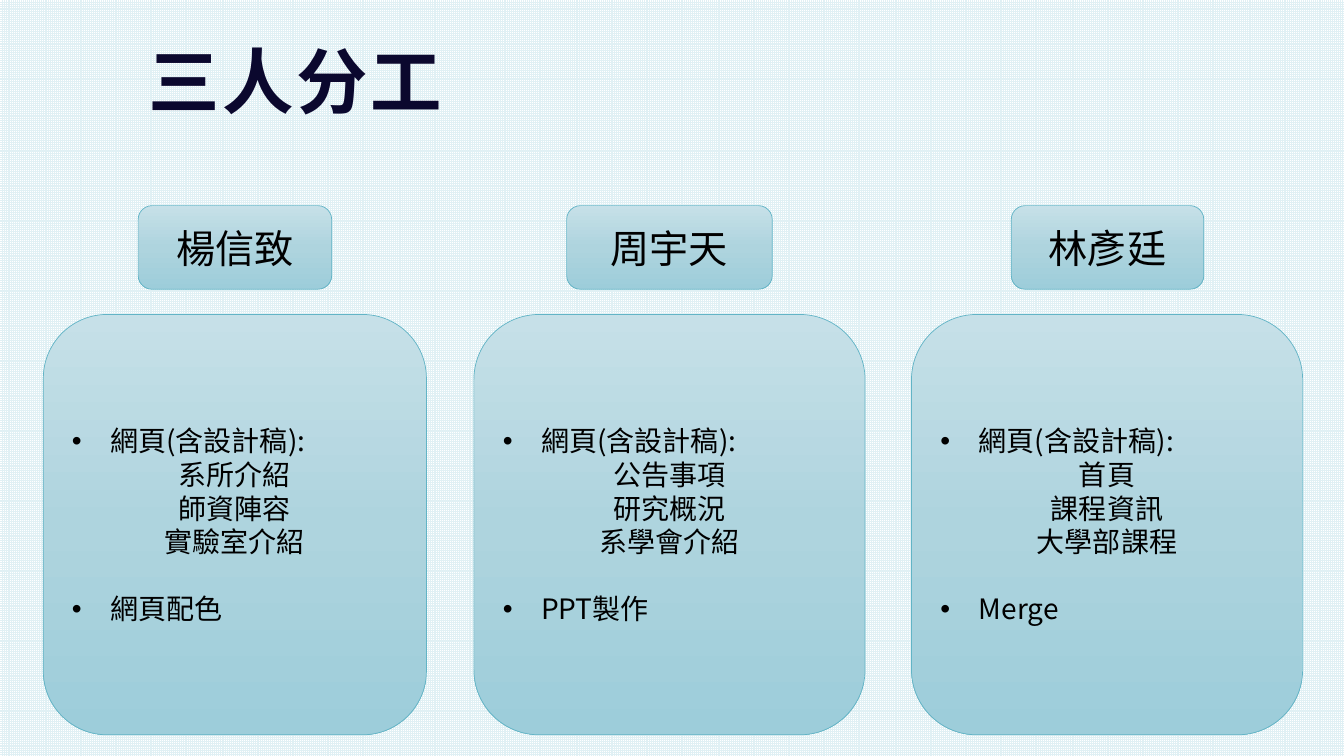
"""Build the slide that shows how three people share the work."""
import copy

import lxml.etree
import pptx
import pptx.dml.color
import pptx.enum.dml
import pptx.enum.shapes
import pptx.enum.text
import pptx.oxml.ns
import pptx.util

Inches = pptx.util.Inches
Pt = pptx.util.Pt
qn = pptx.oxml.ns.qn
ALIGN = pptx.enum.text.PP_ALIGN
ANCHOR = pptx.enum.text.MSO_ANCHOR

MEMBERS = [
    ("楊信致", (1.37, 1.92), (0.43, 3.8),
     ["系所介紹", "師資陣容", "實驗室介紹"], "網頁配色"),
    ("周宇天", (5.62, 2.04), (4.7, 3.88),
     ["公告事項", "研究概況", "系學會介紹"], "PPT製作"),
    ("林彥廷", (10.03, 1.91), (9.04, 3.88),
     ["首頁", "課程資訊", "大學部課程"], "Merge"),
]


class Deck:
    FONT = "Noto Sans CJK SC"
    COLORS = {"title": "0B082E", "text": "000000", "line": "62B4C6",
              "grid": "E0F0F4", "paper": "FFFFFF",
              "top": "C6E0E8", "middle": "AED4DE", "bottom": "9DCDDA"}
    GRADIENT = [(0, "top"), (0.5, "middle"), (1, "bottom")]

    def __init__(self):
        self.prs = pptx.Presentation()
        self.prs.slide_width = Inches(13.33)
        self.prs.slide_height = Inches(7.5)
        self.slide = self.prs.slides.add_slide(self.prs.slide_layouts[6])

    def color(self, name):
        return pptx.dml.color.RGBColor.from_string(self.COLORS[name])

    def background(self):
        fill = self.slide.background.fill
        fill.patterned()
        fill.pattern = pptx.enum.dml.MSO_PATTERN.SMALL_GRID
        fill.fore_color.rgb = self.color("grid")
        fill.back_color.rgb = self.color("paper")

    def add_text(self, p, text, size=20, color="text", bold=False, spacing=0,
                 align=ALIGN.LEFT, bullet=False, before=0):
        p.alignment = align
        if before:
            p.space_before = Pt(before)
        if bullet:
            pPr = p._p.get_or_add_pPr()
            pPr.set("marL", str(Inches(0.38)))
            pPr.set("indent", str(-Inches(0.38)))
            lxml.etree.SubElement(pPr, qn("a:buFont")).set("typeface", "Arial")
            lxml.etree.SubElement(pPr, qn("a:buChar")).set("char", "•")
        r = p.add_run()
        r.text = text
        r.font.size = Pt(size)
        r.font.bold = bold
        r.font.color.rgb = self.color(color)
        r.font.name = self.FONT
        rPr = r._r.get_or_add_rPr()
        if spacing:
            rPr.set("spc", str(spacing * 100))
        lxml.etree.SubElement(rPr, qn("a:ea")).set("typeface", self.FONT)

    def title(self, text, x, y, w, h):
        sp = self.slide.shapes.add_textbox(Inches(x), Inches(y), Inches(w), Inches(h))
        tf = sp.text_frame
        tf.word_wrap = True
        p = tf.paragraphs[0]
        p.line_spacing = 0.9
        self.add_text(p, text, size=51, color="title", bold=True, spacing=2)

    def card(self, x, y, w, h, lines):
        sp = self.slide.shapes.add_shape(
            pptx.enum.shapes.MSO_SHAPE.FLOWCHART_ALTERNATE_PROCESS,
            Inches(x), Inches(y), Inches(w), Inches(h))
        sp.shadow.inherit = False
        sp.fill.gradient()
        sp.fill.gradient_angle = 270
        stops = sp._element.spPr.find(".//" + qn("a:gsLst"))
        stops.append(copy.deepcopy(stops[0]))
        for stop, (position, color) in zip(sp.fill.gradient_stops, self.GRADIENT):
            stop.position = position
            stop.color.rgb = self.color(color)
        sp.line.color.rgb = self.color("line")
        sp.line.width = Pt(0.5)
        tf = sp.text_frame
        tf.word_wrap = True
        tf.vertical_anchor = ANCHOR.MIDDLE
        for i, (text, style) in enumerate(lines):
            p = tf.add_paragraph() if i else tf.paragraphs[0]
            self.add_text(p, text, **style)


def main():
    deck = Deck()
    deck.background()
    deck.title("三人分工", 1.37, 0.42, 11.13, 1.63)
    center = {"align": ALIGN.CENTER}
    for name, (name_x, name_w), (task_x, task_w), pages, extra in MEMBERS:
        deck.card(name_x, 2.04, name_w, 0.83, [(name, {"size": 28, **center})])
        tasks = [("網頁(含設計稿):", {"bullet": True})]
        tasks += [(page, center) for page in pages]
        tasks.append((extra, {"bullet": True, "before": 24}))
        deck.card(task_x, 3.12, task_w, 4.17, tasks)
    deck.prs.save("out.pptx")


if __name__ == "__main__":
    main()
